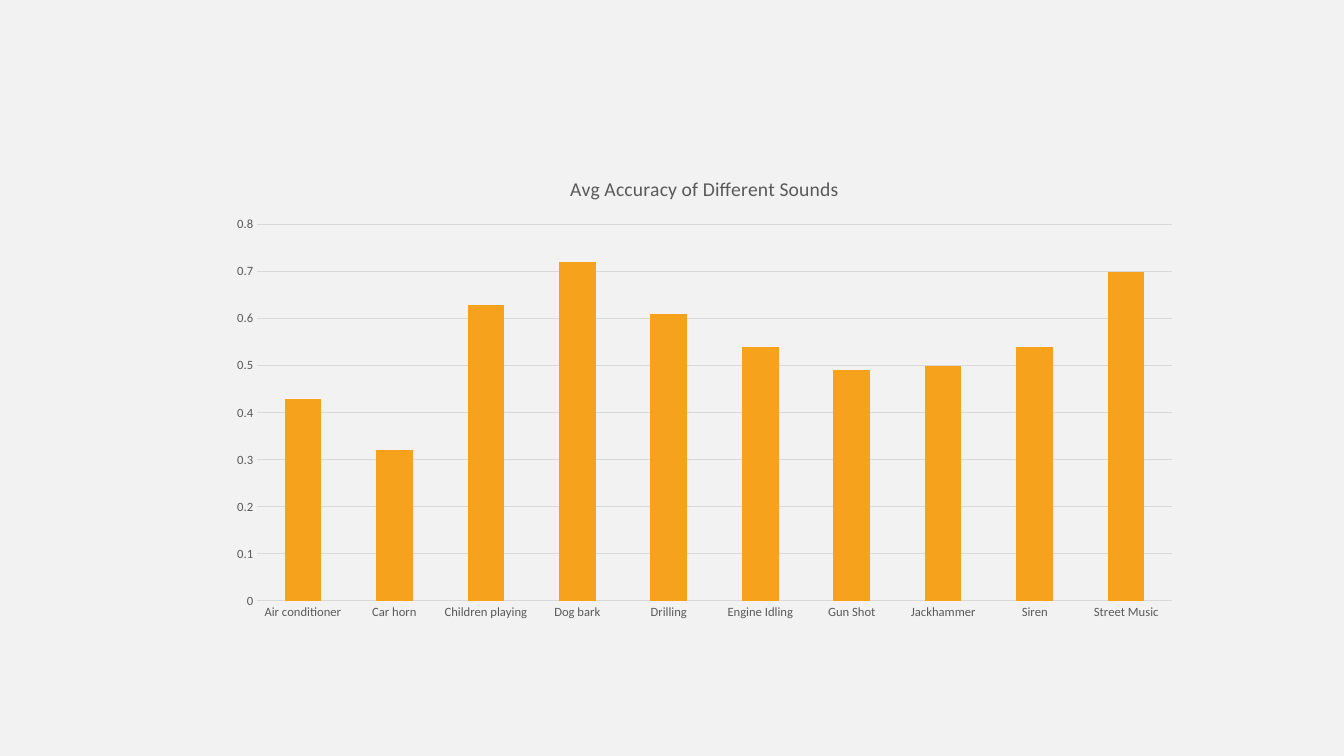
from pptx import Presentation
from pptx.chart.data import CategoryChartData
from pptx.dml.color import RGBColor
from pptx.enum.chart import XL_CHART_TYPE, XL_TICK_MARK
from pptx.util import Pt

BACKGROUND = RGBColor(0xF2, 0xF2, 0xF2)
ORANGE = RGBColor(0xF6, 0xA2, 0x1D)
TEXT_GREY = RGBColor(0x59, 0x59, 0x59)
LINE_GREY = RGBColor(0xD9, 0xD9, 0xD9)

ACCURACY = {
    "Air conditioner": 0.43,
    "Car horn": 0.32,
    "Children playing": 0.63,
    "Dog bark": 0.72,
    "Drilling": 0.61,
    "Engine Idling": 0.54,
    "Gun Shot": 0.49,
    "Jackhammer": 0.5,
    "Siren": 0.54,
    "Street Music": 0.7,
}


def apply_format(target, values):
    for name, value in values.items():
        setattr(target, name, value)


class SlideBuilder:
    font_name = "Calibri"

    def __init__(self, slide):
        self.slide = slide

    def background(self, color):
        fill = self.slide.background.fill
        fill.solid()
        fill.fore_color.rgb = color

    def style_font(self, font, size):
        apply_format(font, {"name": self.font_name, "size": Pt(size), "bold": False})
        font.color.rgb = TEXT_GREY

    def style_line(self, line):
        line.color.rgb = LINE_GREY
        line.width = Pt(0.75)

    def style_axis(self, axis, values):
        apply_format(axis, {"major_tick_mark": XL_TICK_MARK.NONE,
                            "minor_tick_mark": XL_TICK_MARK.NONE, **values})
        self.style_font(axis.tick_labels.font, 9)

    def column_chart(self, title, series_name, values, left, top, width, height):
        data = CategoryChartData()
        data.categories = list(values)
        data.add_series(series_name, list(values.values()))
        chart = self.slide.shapes.add_chart(
            XL_CHART_TYPE.COLUMN_CLUSTERED,
            Pt(left), Pt(top), Pt(width), Pt(height), data).chart
        chart.has_legend = False
        self.style_font(chart.font, 10)

        # Title
        chart.has_title = True
        chart.chart_title.include_in_layout = False
        paragraph = chart.chart_title.text_frame.paragraphs[0]
        run = paragraph.add_run()
        run.text = title
        self.style_font(run.font, 14)

        # Axes and gridlines
        self.style_axis(chart.category_axis, {"has_major_gridlines": False})
        self.style_line(chart.category_axis.format.line)
        self.style_axis(chart.value_axis, {
            "minimum_scale": 0, "maximum_scale": 0.8, "major_unit": 0.1,
            "has_major_gridlines": True})
        chart.value_axis.format.line.fill.background()
        self.style_line(chart.value_axis.major_gridlines.format.line)

        # Columns
        plot = chart.plots[0]
        apply_format(plot, {"gap_width": 150, "vary_by_categories": False})
        fill = plot.series[0].format.fill
        fill.solid()
        fill.fore_color.rgb = ORANGE


def main():
    presentation = Presentation()
    apply_format(presentation, {"slide_width": Pt(960), "slide_height": Pt(540)})
    slide = presentation.slides.add_slide(presentation.slide_layouts[6])
    builder = SlideBuilder(slide)
    builder.background(BACKGROUND)
    builder.column_chart("Avg Accuracy of Different Sounds", "Series 1", ACCURACY,
                         left=155.5, top=112.3, width=695.5, height=337)
    presentation.save("out.pptx")


if __name__ == "__main__":
    main()
